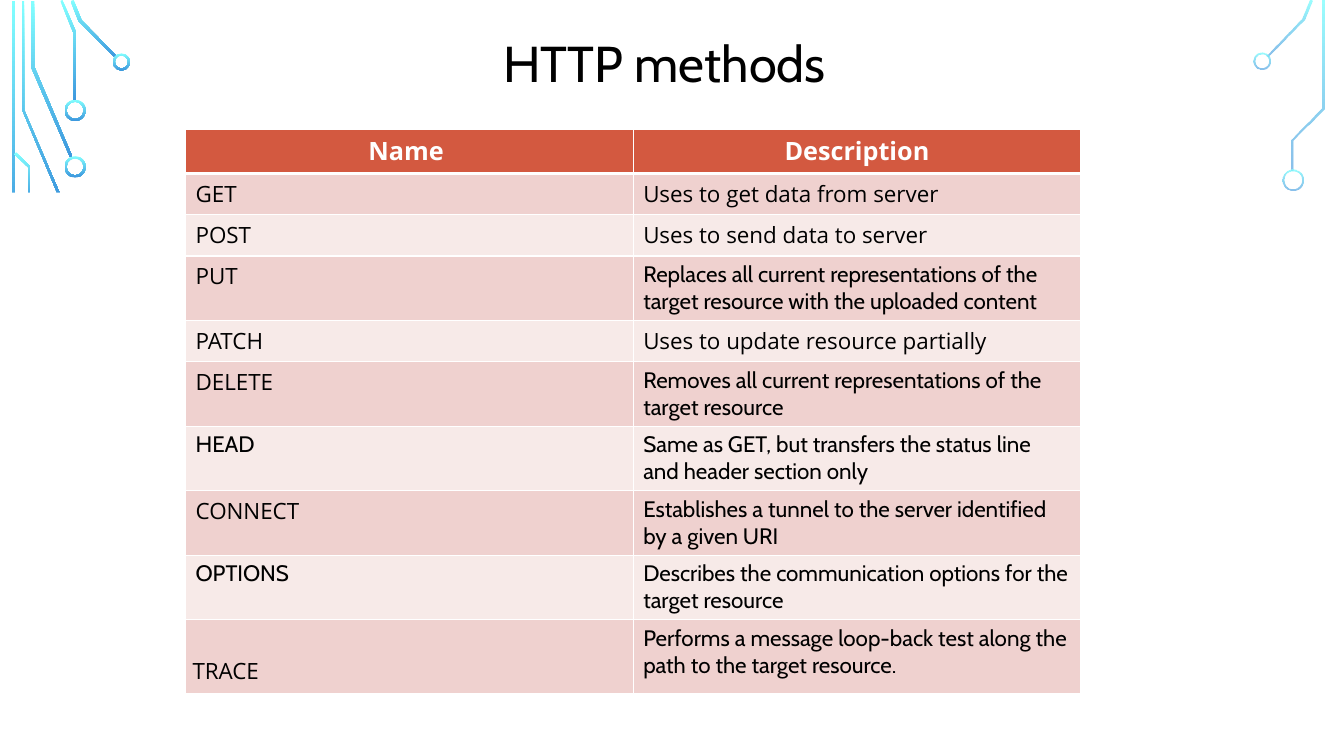
from lxml import etree
from pptx import Presentation
from pptx.dml.color import RGBColor
from pptx.enum.shapes import MSO_SHAPE
from pptx.enum.text import MSO_ANCHOR, MSO_AUTO_SIZE, PP_ALIGN
from pptx.oxml.ns import qn
from pptx.util import Inches, Pt

CENTER, LEFT = PP_ALIGN.CENTER, PP_ALIGN.LEFT
TOP, MIDDLE, BOTTOM = MSO_ANCHOR.TOP, MSO_ANCHOR.MIDDLE, MSO_ANCHOR.BOTTOM
RECTANGLE, DONUT = MSO_SHAPE.RECTANGLE, MSO_SHAPE.DONUT
CABIN, OPEN_SANS = "Cabin", "Open Sans"

# Content
TITLE = "HTTP methods"
HEADINGS = ("Name ", "Description")
# name, name font, description, description font, row height
METHODS = [
    ("GET", OPEN_SANS, "Uses to get data from server", OPEN_SANS, 0.41),
    ("POST", OPEN_SANS, "Uses to send data to server", OPEN_SANS, 0.41),
    ("PUT", OPEN_SANS, "Replaces all current representations of the target "
     "resource with the uploaded content", CABIN, 0.64),
    ("PATCH", OPEN_SANS, "Uses to update resource partially", OPEN_SANS, 0.41),
    ("DELETE", OPEN_SANS, "Removes all current representations of the target "
     "resource", CABIN, 0.64),
    ("HEAD", CABIN, "Same as GET, but transfers the status line and header "
     "section only", CABIN, 0.64),
    ("CONNECT", OPEN_SANS, "Establishes a tunnel to the server identified by "
     "a given URI", CABIN, 0.64),
    ("OPTIONS", CABIN, "Describes the communication options for the target "
     "resource", CABIN, 0.64),
    ("TRACE", OPEN_SANS, "Performs a message loop-back test along the path to "
     "the target resource.", CABIN, 0.73),
]

# Circuit decoration: outlines of the traces, and rings as left, top, size
LEFT_TRACES = [
    [(0.12, 0.01), (0.15, 0.01), (0.15, 2.4), (0.12, 2.4)],
    [(0.6, 1.99), (0.22, 1.09), (0.22, 0.01), (0.24, 0.01), (0.24, 1.09), (0.62, 1.98)],
    [(0.7, 1.57), (0.31, 0.67), (0.31, 0.01), (0.34, 0.01), (0.34, 0.66), (0.72, 1.56)],
    [(0.76, 1), (0.73, 1), (0.73, 0.33), (0.6, 0.01), (0.62, 0), (0.76, 0.33)],
    [(1.15, 0.58), (0.78, 0.21), (0.7, 0.01), (0.73, 0), (0.81, 0.2), (1.16, 0.56)],
    [(0.3, 2.03), (0.28, 2.03), (0.28, 1.66), (0.14, 1.53), (0.16, 1.51), (0.3, 1.65)],
]
LEFT_RINGS = [(0.64, 1.55, 0.21), (0.64, 0.99, 0.21), (1.12, 0.53, 0.17)]
RIGHT_TRACES = [
    [(12.58, 0.56), (12.56, 0.55), (12.91, 0.19), (12.99, 0), (13.02, 0.01), (12.94, 0.2)],
    [(12.83, 1.69), (12.81, 1.69), (12.81, 1.38), (13.11, 1.07), (13.11, 0.01),
     (13.14, 0.01), (13.14, 1.08), (12.83, 1.39)],
]
RIGHT_RINGS = [(12.43, 0.52, 0.17), (12.72, 1.68, 0.21)]
RING_THICKNESS = 0.02
TRACE_COLORS = ("82FFFF", "3D97DE")
OPAQUE, FADED = (100, 100), (80, 60)

WHITE, BLACK = "FFFFFF", "000000"
HEADER_FILL, BANDS = "D35940", ("EFD1CF", "F7EAE8")


def rgb(color):
    return RGBColor.from_string(color)


def add_run(paragraph, text, font, size, color, bold=False):
    run = paragraph.add_run()
    run.text = text
    run.font.name, run.font.size, run.font.bold = font, Pt(size), bold
    run.font.color.rgb = rgb(color)


def paint_circuit(shape, opacities):
    """Fill with the vertical gradient, without line or shadow."""
    shape.shadow.inherit = False
    shape.line.fill.background()
    shape.fill.gradient()
    shape.fill.gradient_angle = 270
    for stop, color, opacity in zip(shape.fill.gradient_stops, TRACE_COLORS, opacities):
        stop.color.rgb = rgb(color)
    fill = shape._element.spPr.find(qn("a:gradFill"))
    for color, opacity in zip(fill.iter(qn("a:srgbClr")), opacities):
        if opacity < 100:
            etree.SubElement(color, qn("a:alpha"), val=str(opacity * 1000))


def add_circuit(shapes, traces, rings, opacities):
    for outline in traces:
        points = [(Inches(x), Inches(y)) for x, y in outline]
        builder = shapes.build_freeform(*points[0])
        builder.add_line_segments(points[1:], close=True)
        paint_circuit(builder.convert_to_shape(), opacities)
    for left, top, size in rings:
        ring = shapes.add_shape(DONUT, Inches(left), Inches(top), Inches(size), Inches(size))
        ring.adjustments[0] = RING_THICKNESS / size
        paint_circuit(ring, opacities)


def set_cell(cell, text, font, size, color, fill, bold=False, align=LEFT,
             anchor=TOP, top_line=1, bottom_line=1):
    cell.vertical_anchor = anchor
    paragraph = cell.text_frame.paragraphs[0]
    paragraph.alignment = align
    add_run(paragraph, text, font, size, color, bold)
    # Borders come before the fill
    properties = cell._tc.get_or_add_tcPr()
    for side, width in (("L", 1), ("R", 1), ("T", top_line), ("B", bottom_line)):
        line = etree.SubElement(properties, qn(f"a:ln{side}"), w=str(Pt(width)))
        solid = etree.SubElement(line, qn("a:solidFill"))
        etree.SubElement(solid, qn("a:srgbClr"), val=WHITE)
    cell.fill.solid()
    cell.fill.fore_color.rgb = rgb(fill)


def main():
    deck = Presentation()
    deck.slide_width, deck.slide_height = Inches(13.33), Inches(7.5)
    slide = deck.slides.add_slide(deck.slide_layouts[5])
    shapes = slide.shapes

    # Circuit traces, cut off by a white panel
    add_circuit(shapes, LEFT_TRACES, LEFT_RINGS, OPAQUE)
    add_circuit(shapes, RIGHT_TRACES, RIGHT_RINGS, FADED)
    panel = shapes.add_shape(RECTANGLE, 0, Inches(1.91), Inches(13.33), Inches(5.59))
    panel.shadow.inherit = False
    panel.fill.solid()
    panel.fill.fore_color.rgb = rgb(WHITE)
    panel.line.fill.background()

    # Title
    title = shapes.title
    title.left, title.top = Inches(0.54), Inches(0.28)
    title.width, title.height = Inches(11.83), Inches(0.75)
    frame = title.text_frame
    frame.auto_size, frame.word_wrap = MSO_AUTO_SIZE.NONE, True
    frame.vertical_anchor = MIDDLE
    frame.margin_left, frame.margin_right = 0, Inches(0.1)
    heading = frame.paragraphs[0]
    heading.alignment, heading.line_spacing = CENTER, 0.9
    heading._p.get_or_add_pPr().set("marL", str(Inches(0.37)))
    add_run(heading, TITLE, CABIN, 36, BLACK)

    # Table of methods
    heights = [0.41] + [method[-1] for method in METHODS]
    table = shapes.add_table(len(heights), 2, Inches(1.84), Inches(1.28),
                             Inches(8.88), Inches(sum(heights))).table
    for row, height in zip(table.rows, heights):
        row.height = Inches(height)
    for column, text in enumerate(HEADINGS):
        set_cell(table.cell(0, column), text, OPEN_SANS, 18, WHITE, HEADER_FILL,
                 bold=True, align=CENTER, bottom_line=3)
    for row, (name, name_font, description, description_font, _) in enumerate(METHODS, 1):
        band = BANDS[(row - 1) % 2]
        top_line = 3 if row == 1 else 1
        name_anchor = BOTTOM if name == "TRACE" else TOP
        set_cell(table.cell(row, 0), name, name_font, 16, BLACK, band,
                 anchor=name_anchor, top_line=top_line)
        set_cell(table.cell(row, 1), description, description_font, 16, BLACK, band,
                 top_line=top_line)
    trace_cell = table.cell(len(METHODS), 0)
    trace_cell.margin_left = trace_cell.margin_right = Inches(0.07)
    trace_cell.margin_top = trace_cell.margin_bottom = Inches(0.07)

    deck.save("out.pptx")


if __name__ == "__main__":
    main()
